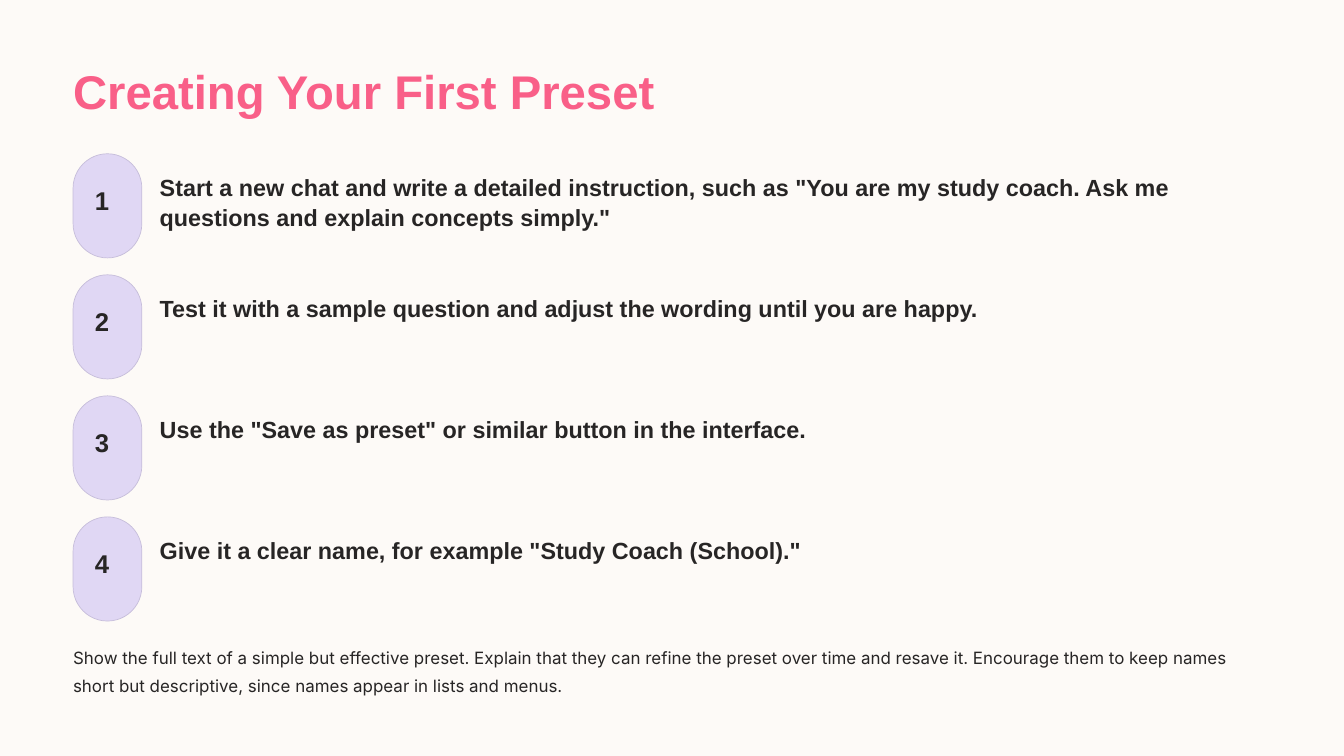
"""Build the slide that lists four steps for creating a first preset."""
from dataclasses import dataclass

from pptx import Presentation
from pptx.dml.color import RGBColor
from pptx.enum.shapes import MSO_SHAPE as Shape
from pptx.enum.text import MSO_ANCHOR as Anchor, PP_ALIGN as Align
from pptx.slide import Slide
from pptx.util import Cm, Pt

CREAM = RGBColor(0xFD, 0xFA, 0xF7)
PINK = RGBColor(0xF9, 0x5F, 0x88)
LILAC = RGBColor(0xE0, 0xD7, 0xF4)
LILAC_EDGE = RGBColor(0xC6, 0xBD, 0xDA)
INK = RGBColor(0x27, 0x25, 0x25)

MARGIN = 2.21
FIRST_STEP_TOP = 4.65
STEP_PITCH = 3.66
PILL_WIDTH, PILL_HEIGHT = 2.08, 3.15
STEP_TEXT_LEFT = 4.83


@dataclass(frozen=True)
class Style:
    """Look of a text."""
    size: float
    leading: float
    color: RGBColor = INK
    font: str = "Arial"
    bold: bool = True


@dataclass(frozen=True)
class Area:
    """Place of a text box in centimetres."""
    left: float
    top: float
    width: float
    height: float


@dataclass(frozen=True)
class Step:
    """Instruction with the size of its text box."""
    text: str
    width: float
    height: float = 0.89


TITLE = Style(40.5, 51, PINK)
NUMBER = Style(22, 22)
INSTRUCTION = Style(20, 25.5)
NOTE = Style(14.5, 23.5, font="Inter", bold=False)

STEPS = [
    Step('Start a new chat and write a detailed instruction, such as "You are my study coach. '
         'Ask me questions and explain concepts simply."', 33.6, 1.8),
    Step("Test it with a sample question and adjust the wording until you are happy.", 25.2),
    Step('Use the "Save as preset" or similar button in the interface.', 20),
    Step('Give it a clear name, for example "Study Coach (School)."', 20),
]
CLOSING = ("Show the full text of a simple but effective preset. Explain that they can refine the "
           "preset over time and resave it. Encourage them to keep names short but descriptive, "
           "since names appear in lists and menus.")


def add_text(page: Slide, area: Area, text: str, style: Style) -> None:
    """Add a text box without margins."""
    box = page.shapes.add_textbox(Cm(area.left), Cm(area.top), Cm(area.width), Cm(area.height))
    frame = box.text_frame
    frame.margin_left = frame.margin_right = frame.margin_top = frame.margin_bottom = 0
    frame.word_wrap = True
    frame.vertical_anchor = Anchor.TOP
    para = frame.paragraphs[0]
    para.alignment = Align.LEFT
    para.line_spacing = Pt(style.leading)
    span = para.add_run()
    span.text = text
    span.font.name = style.font
    span.font.size = Pt(style.size)
    span.font.bold = style.bold
    span.font.color.rgb = style.color


def add_step(page: Slide, number: int, step: Step) -> None:
    """Add a numbered pill with its instruction."""
    top = FIRST_STEP_TOP + (number - 1) * STEP_PITCH
    pill = page.shapes.add_shape(
        Shape.ROUNDED_RECTANGLE, Cm(MARGIN), Cm(top), Cm(PILL_WIDTH), Cm(PILL_HEIGHT))
    pill.adjustments[0] = 0.5
    pill.shadow.inherit = False
    pill.fill.solid()
    pill.fill.fore_color.rgb = LILAC
    pill.line.color.rgb = LILAC_EDGE
    pill.line.width = Pt(0.6)
    add_text(page, Area(MARGIN + 0.66, top + 1.08, 0.79, 0.99), str(number), NUMBER)
    area = Area(STEP_TEXT_LEFT, top + 0.53, step.width, step.height)
    add_text(page, area, step.text, INSTRUCTION)


def main() -> None:
    """Build and save the deck."""
    deck = Presentation()
    deck.slide_width, deck.slide_height = Cm(40.64), Cm(22.86)
    page = deck.slides.add_slide(deck.slide_layouts[6])
    page.background.fill.solid()
    page.background.fill.fore_color.rgb = CREAM
    add_text(page, Area(MARGIN, 1.8, 18.2, 1.8), "Creating Your First Preset", TITLE)
    for number, step in enumerate(STEPS, start=1):
        add_step(page, number, step)
    add_text(page, Area(MARGIN, 19.38, 36.22, 1.68), CLOSING, NOTE)
    deck.save("out.pptx")


if __name__ == "__main__":
    main()
